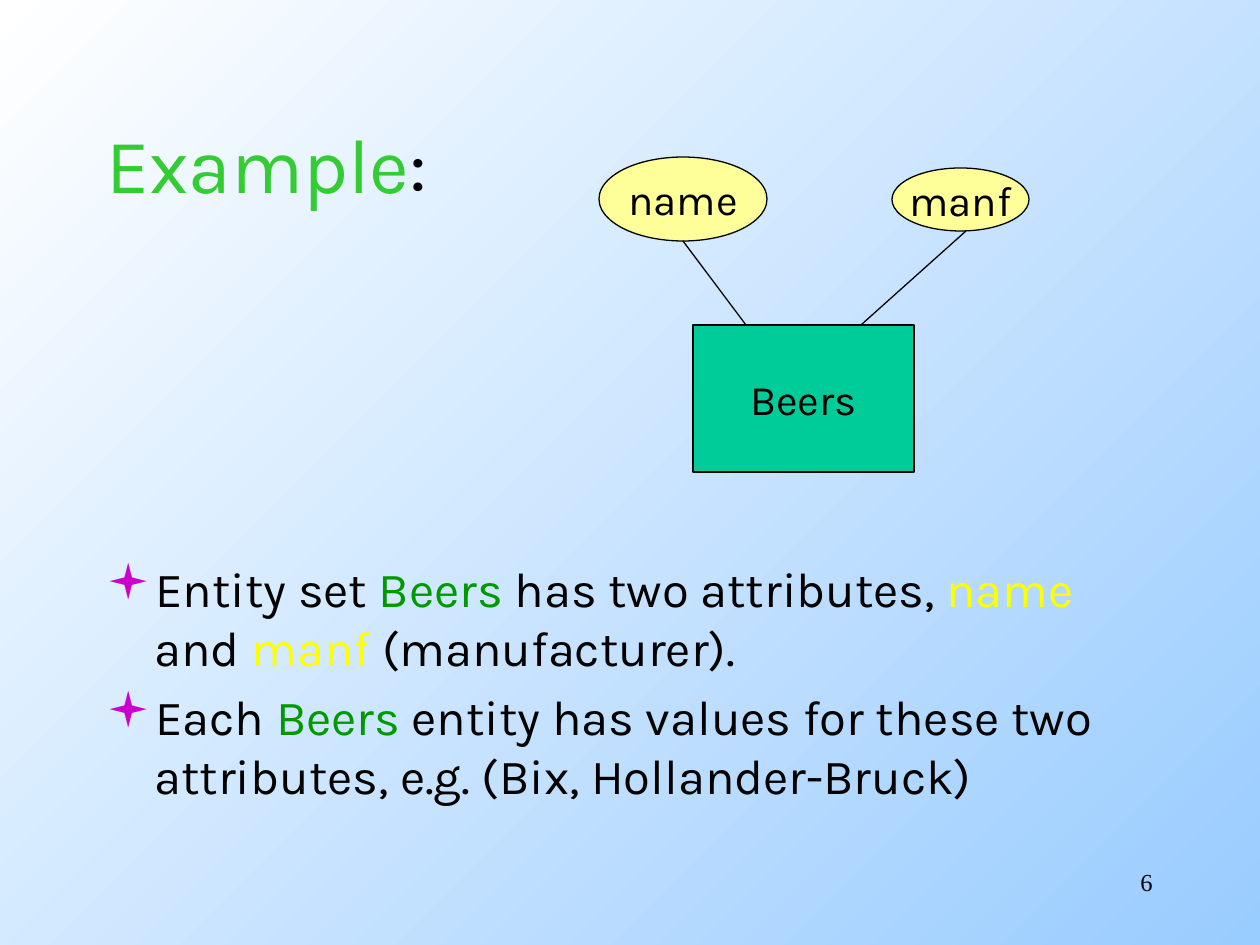
"""Builds a slide about an entity set with two attributes."""
import pptx
import pptx.dml.color
import pptx.enum.shapes
import pptx.enum.text
import pptx.util
import lxml.etree

PX = 914400 / 126
ALIGN = pptx.enum.text.PP_ALIGN
MID = pptx.enum.text.MSO_ANCHOR.MIDDLE
FORM = pptx.enum.shapes.MSO_SHAPE
BLACK, GREEN, GOLD = "000000", "009900", "FFFF00"


def px(*nums):
    """Turn pixels into EMU."""
    return [pptx.util.Emu(round(n * PX)) for n in nums]


def tint(color, code):
    """Set a colour from a hex string."""
    color.rgb = pptx.dml.color.RGBColor.from_string(code)


def apply(item, style):
    """Set attributes from a dict."""
    for key, value in style.items():
        setattr(item, key, value)


def write(para, runs, size, face="Karla", **style):
    """Fill a paragraph with pairs of text and colour."""
    apply(para, style)
    for text, code in runs:
        run = para.add_run()
        run.text = text
        apply(run.font, {"size": pptx.util.Pt(size), "name": face})
        tint(run.font.color, code)


def label(slide, box, **style):
    """Add a wrapping text box and return its frame."""
    frame = slide.shapes.add_textbox(*px(*box)).text_frame
    apply(frame, {"word_wrap": True, **style})
    return frame


def bullet(para):
    """Give a paragraph a hanging square bullet."""
    props = para._p.get_or_add_pPr()
    left = px(48)[0]
    props.set("marL", str(left))
    props.set("indent", str(-left))
    space = pptx.oxml.ns.qn
    color = lxml.etree.SubElement(props, space("a:buClr"))
    lxml.etree.SubElement(color, space("a:srgbClr"), val="CC00CC")
    lxml.etree.SubElement(props, space("a:buFont"), typeface="Wingdings")
    lxml.etree.SubElement(props, space("a:buChar"), char="▪")


def stroke(line):
    """Draw a thin black line."""
    tint(line.fill_color if hasattr(line, "fill_color") else line.color, BLACK)
    line.width = pptx.util.Pt(0.75)


def node(slide, form, box, text, fill):
    """Add a labelled shape."""
    shape = slide.shapes.add_shape(form, *px(*box))
    shape.shadow.inherit = False
    shape.fill.solid()
    tint(shape.fill.fore_color, fill)
    stroke(shape.line)
    frame = shape.text_frame
    apply(frame, {"word_wrap": False, "vertical_anchor": MID})
    write(frame.paragraphs[0], [(text, BLACK)], 24, alignment=ALIGN.CENTER)


def link(slide, ends):
    """Join two points with a line."""
    kind = pptx.enum.shapes.MSO_CONNECTOR.STRAIGHT
    wire = slide.shapes.add_connector(kind, *px(*ends))
    stroke(wire.line)
    lxml.etree.SubElement(wire._element.spPr, pptx.oxml.ns.qn("a:effectLst"))


def paint(slide):
    """Shade the background from white to blue."""
    fill = slide.background.fill
    fill.gradient()
    fill.gradient_angle = 315
    for stop, place, code in zip(fill.gradient_stops, (0, 1), ("FFFFFF", "99CCFF")):
        stop.position = place
        tint(stop.color, code)


def main():
    """Build and save the slide."""
    deck = pptx.Presentation()
    apply(deck, dict(zip(("slide_width", "slide_height"), px(1260, 945))))
    slide = deck.slides.add_slide(deck.slide_layouts[6])
    paint(slide)

    page = label(slide, (903, 861, 262, 63))
    write(page.paragraphs[0], [("6", BLACK)], 14, "Times New Roman", alignment=ALIGN.RIGHT)
    title = label(slide, (94, 84, 1071, 158), vertical_anchor=MID)
    write(title.paragraphs[0], [("Example", "33CC33"), (":", BLACK)], 44)

    body = label(slide, (94, 552, 1071, 288))
    points = [
        [("Entity set ", BLACK), ("Beers", GREEN), (" has two attributes, ", BLACK),
         ("name", GOLD), (" and ", BLACK), ("manf", GOLD), (" (manufacturer).", BLACK)],
        [("Each ", BLACK), ("Beers", GREEN),
         (" entity has values for these two attributes, e.g. (Bix, Hollander-Bruck)", BLACK)],
    ]
    for i, runs in enumerate(points):
        para = body.add_paragraph() if i else body.paragraphs[0]
        bullet(para)
        write(para, runs, 28, space_before=pptx.util.Pt(6 if i else 0))

    node(slide, FORM.RECTANGLE, (693, 325, 221, 147), "Beers", "00CC99")
    node(slide, FORM.OVAL, (599, 157, 168, 84), "name", "FFFF99")
    node(slide, FORM.OVAL, (892, 168, 137, 63), "manf", "FFFF99")
    for ends in ((683, 241, 746, 325), (966, 231, 861, 325)):
        link(slide, ends)
    deck.save("out.pptx")


if __name__ == "__main__":
    main()
